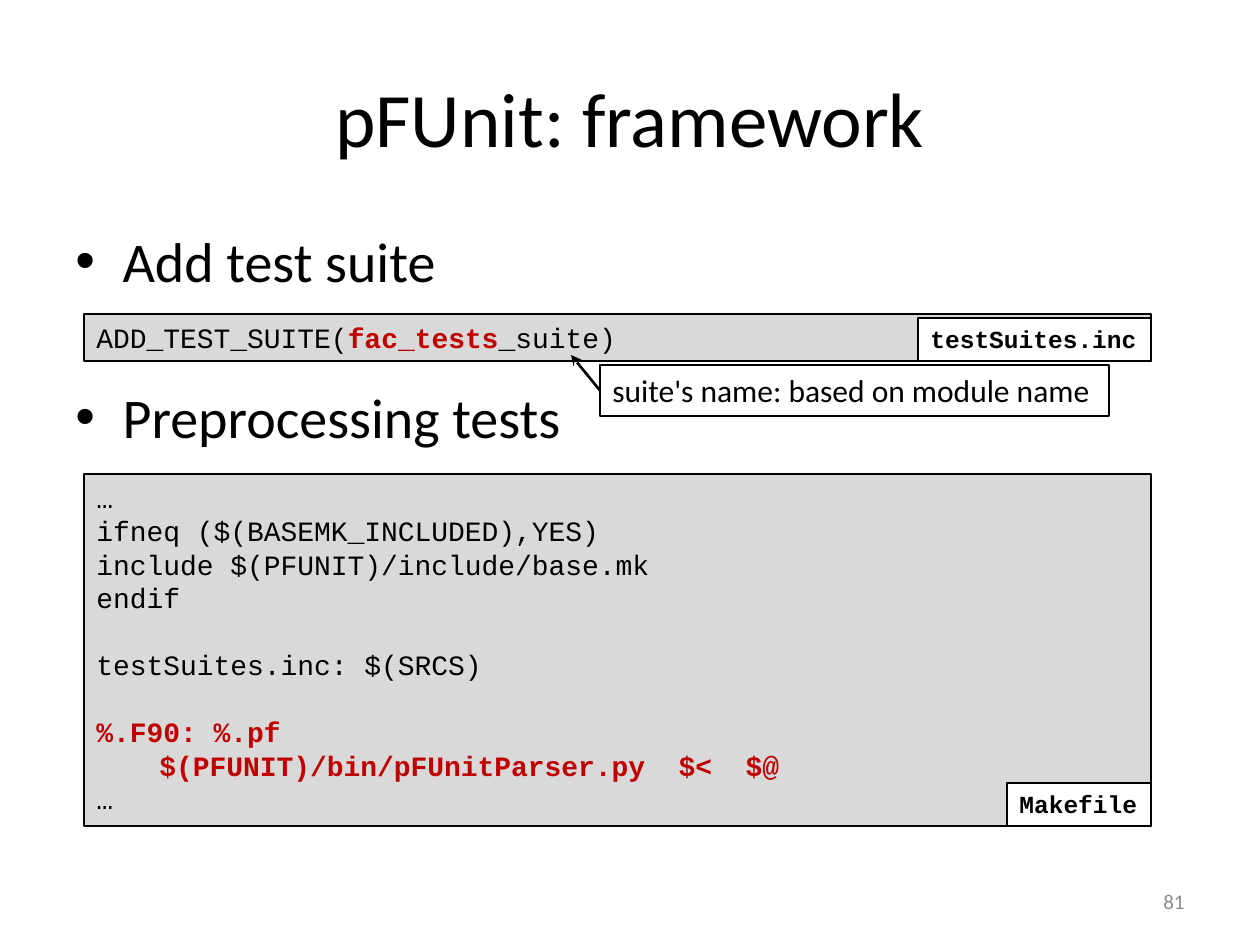
import pptx
import pptx.util
import pptx.dml.color
import pptx.enum.text
import pptx.enum.shapes
import pptx.oxml.ns
import lxml.etree
from dataclasses import dataclass


@dataclass(frozen=True)
class Theme:
    sans: str = "Calibri"
    mono: str = "Courier New"
    ink: str = "000000"
    red: str = "C00000"
    gray: str = "D9D9D9"
    dim: str = "8C8C8C"
    white: str = "FFFFFF"
    head: int = 44
    body: int = 32
    note: int = 18
    code: int = 16
    tag: int = 14
    page: int = 12


T = Theme()
PX = 914400 / 126  # EMU in one px
Pt = pptx.util.Pt
MID = pptx.enum.text.MSO_ANCHOR.MIDDLE
TOP = pptx.enum.text.MSO_ANCHOR.TOP
ALIGN = pptx.enum.text.PP_ALIGN

# Content: a line is (space before in points, runs); a run is (text, marked)
TITLE = "pFUnit: framework"
POINTS = [(3, [("Add test suite", False)]),
          (51, [("Preprocessing tests", False)])]
GAP = 19  # one code line
SUITE = [(0, [("ADD_TEST_SUITE(", False), ("fac_tests", True),
              ("_suite)", False)])]
MAKE = [
    (0, [("…", False)]),
    (0, [("ifneq ($(BASEMK_INCLUDED),YES)", False)]),
    (0, [("include $(PFUNIT)/include/base.mk", False)]),
    (0, [("endif", False)]),
    (GAP, [("testSuites.inc: $(SRCS)", False)]),
    (GAP, [("%.F90: %.pf", True)]),
    (0, [("\t$(PFUNIT)/bin/pFUnitParser.py  $<  $@", True)]),
    (0, [("…", False)]),
]
# Code panels: top, height, lines, file name, width of its tag
PANELS = [(314, 47, SUITE, "testSuites.inc", 233),
          (474, 352, MAKE, "Makefile", 144)]
LEFT, WIDE, TAGH = 84, 1067, 43
NOTE = "suite's name: based on module name"
NOTEBOX = (600, 365, 509, 51)
TIP = (571, 355)
PAGE = "81"


def emu(*vals):
    return [round(v * PX) for v in vals]


def rgb(code):
    return pptx.dml.color.RGBColor.from_string(code)


def write(shape, text, size, font=T.sans, color=T.ink, bold=False,
          align=ALIGN.LEFT, anchor=TOP, wrap=True, bullet=False):
    """Put a string or a list of lines into a shape."""
    lines = [(0, [(text, False)])] if isinstance(text, str) else text
    frame = shape.text_frame
    frame.word_wrap = wrap
    frame.vertical_anchor = anchor
    for n, (gap, runs) in enumerate(lines):
        para = frame.add_paragraph() if n else frame.paragraphs[0]
        para.alignment = align
        para.space_before = Pt(gap)
        if bullet:
            props = para._p.get_or_add_pPr()
            props.set("marL", "342900")
            props.set("indent", "-342900")
            for tag, key, val in (("a:buFont", "typeface", "Arial"),
                                  ("a:buChar", "char", "•")):
                lines_tag = pptx.oxml.ns.qn(tag)
                lxml.etree.SubElement(props, lines_tag).set(key, val)
        for words, mark in runs:
            run = para.add_run()
            run.text = words
            run.font.name = font
            run.font.size = Pt(size)
            run.font.bold = bold or mark
            run.font.color.rgb = rgb(T.red if mark else color)


def box(slide, area, fill):
    """Add a thin-lined rectangle that grows with its text."""
    kind = pptx.enum.shapes.MSO_SHAPE.RECTANGLE
    shape = slide.shapes.add_shape(kind, *emu(*area))
    shape.shadow.inherit = False
    shape.fill.solid()
    shape.fill.fore_color.rgb = rgb(fill)
    shape.line.color.rgb = rgb(T.ink)
    shape.line.width = Pt(0.75)
    shape.text_frame.auto_size = pptx.enum.text.MSO_AUTO_SIZE.SHAPE_TO_FIT_TEXT
    return shape


def arrow(slide, start, tip):
    """Draw an arrow from the left side of a box to a point."""
    kind = pptx.enum.shapes.MSO_CONNECTOR.STRAIGHT
    line = slide.shapes.add_connector(kind, 0, 0, *emu(*tip))
    line.begin_connect(start, 1)
    line.line.color.rgb = rgb(T.ink)
    line.line.width = Pt(1.5)
    qn = pptx.oxml.ns.qn
    end = lxml.etree.SubElement(line.line._get_or_add_ln(), qn("a:tailEnd"))
    end.set("type", "stealth")
    lxml.etree.SubElement(line._element.spPr, qn("a:effectLst"))


def main():
    deck = pptx.Presentation()
    deck.slide_width, deck.slide_height = emu(1260, 945)
    slide = deck.slides.add_slide(deck.slide_layouts[5])

    # Title and bullet points
    title = slide.shapes.title
    title.left, title.top, title.width, title.height = emu(63, 38, 1134, 157)
    write(title, TITLE, T.head, align=ALIGN.CENTER, anchor=MID)
    body = slide.shapes.add_textbox(*emu(63, 220, 1134, 624))
    write(body, POINTS, T.body, bullet=True)

    # Code panels, each with a file name in its lower right corner
    for top, high, lines, name, width in PANELS:
        panel = box(slide, (LEFT, top, WIDE, high), T.gray)
        write(panel, lines, T.code, font=T.mono)
        corner = (LEFT + WIDE - width, top + high - TAGH, width, TAGH)
        write(box(slide, corner, T.white), name, T.tag, font=T.mono,
              bold=True, wrap=False)

    # Callout
    note = box(slide, NOTEBOX, T.white)
    write(note, NOTE, T.note, wrap=False)
    arrow(slide, note, TIP)

    # Page number
    page = slide.shapes.add_textbox(*emu(903, 876, 294, 50))
    write(page, PAGE, T.page, color=T.dim, align=ALIGN.RIGHT, anchor=MID)

    deck.save("out.pptx")


if __name__ == "__main__":
    main()
